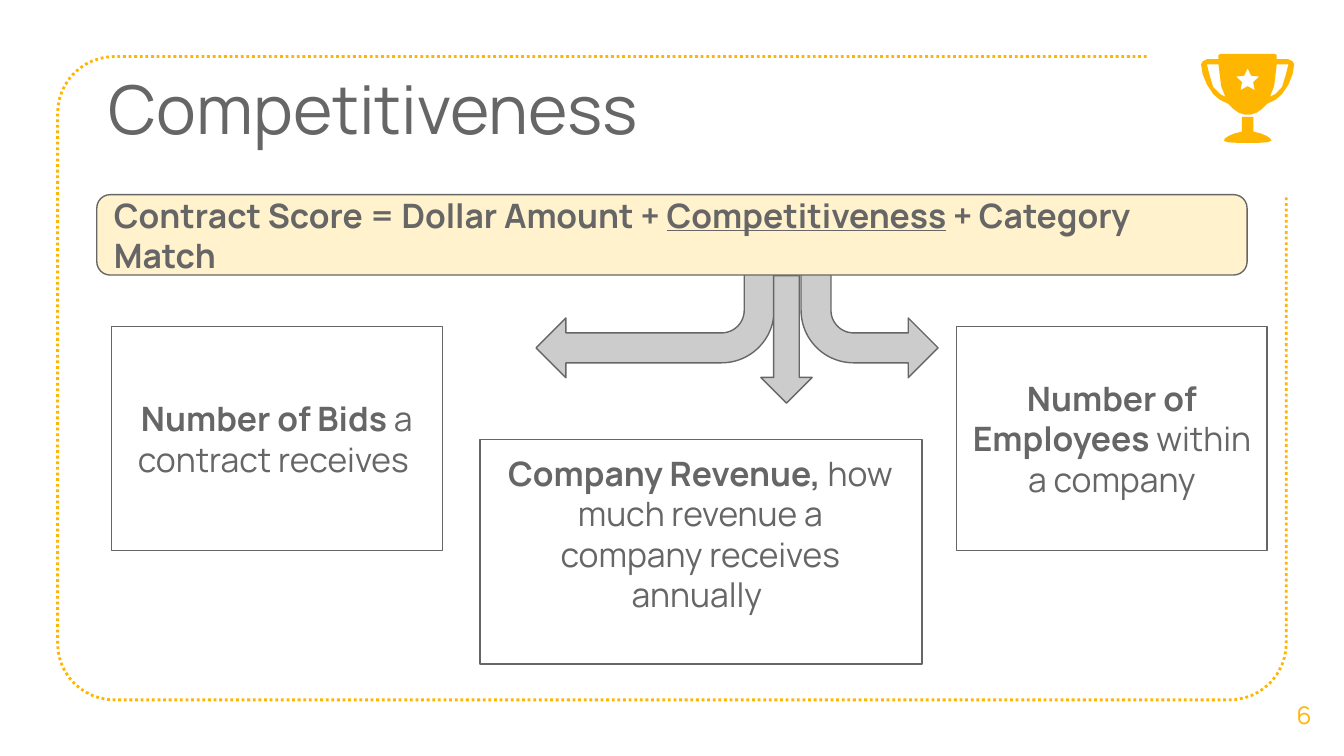
from dataclasses import dataclass
from math import cos, radians, sin

from lxml.etree import SubElement
from pptx import Presentation
from pptx.dml.color import RGBColor
from pptx.enum.dml import MSO_LINE
from pptx.enum.shapes import MSO_SHAPE as Preset
from pptx.enum.text import MSO_ANCHOR as Anchor, MSO_AUTO_SIZE as AutoSize, PP_ALIGN as Align
from pptx.oxml.ns import qn
from pptx.util import Cm, Pt

GREY = RGBColor(0x66, 0x66, 0x66)
ARROW_GREY = RGBColor(0xCC, 0xCC, 0xCC)
AMBER = RGBColor(0xFF, 0xB6, 0x00)
CREAM = RGBColor(0xFF, 0xF2, 0xCC)
FONT = "Manrope"
BEND = (0.25, 0.25, 0.25, 0.44)

Point = tuple[float, float]


@dataclass
class Box:
    """A place on the slide, in centimetres."""
    left: float
    top: float
    width: float
    height: float

    def lengths(self) -> list:
        return [Cm(v) for v in (self.left, self.top, self.width, self.height)]


@dataclass
class Run:
    text: str
    bold: bool = False
    underline: bool = False


@dataclass
class Arrow:
    preset: Preset
    box: Box
    adjustments: tuple
    rotation: int = 0
    flipped: bool = False


def write(shape, runs: list[Run], size: float = 18, color=GREY, align=Align.CENTER,
          anchor=Anchor.MIDDLE, before: float = 6) -> None:
    frame = shape.text_frame
    frame.word_wrap = True
    frame.auto_size = AutoSize.NONE
    frame.vertical_anchor = anchor
    frame.margin_left = frame.margin_right = Cm(0.25)
    frame.margin_top = frame.margin_bottom = Cm(0.25)
    paragraph = frame.paragraphs[0]
    paragraph.alignment = align
    paragraph.space_before = Pt(before)
    paragraph.line_spacing = 1.0
    for part in runs:
        run = paragraph.add_run()
        run.text = part.text
        run.font.name = FONT
        run.font.size = Pt(size)
        run.font.bold = part.bold
        run.font.underline = part.underline
        run.font.color.rgb = color


def move(placeholder, box: Box) -> None:
    placeholder.left, placeholder.top, placeholder.width, placeholder.height = box.lengths()


def add_outlined(shapes, preset: Preset, box: Box, fill=None):
    shape = shapes.add_shape(preset, *box.lengths())
    shape.shadow.inherit = False
    if fill is None:
        shape.fill.background()
    else:
        shape.fill.solid()
        shape.fill.fore_color.rgb = fill
    shape.line.color.rgb = GREY
    shape.line.width = Pt(0.75)
    return shape


def add_arrow(shapes, arrow: Arrow) -> None:
    shape = add_outlined(shapes, arrow.preset, arrow.box, ARROW_GREY)
    for index, value in enumerate(arrow.adjustments):
        shape.adjustments[index] = value
    shape.rotation = arrow.rotation
    if arrow.flipped:
        shape._element.spPr.find(qn("a:xfrm")).set("flipH", "1")


def add_outline(shapes, contours: list[list[Point]], close: bool = True):
    paths = [[(Cm(x), Cm(y)) for x, y in contour] for contour in contours]
    builder = shapes.build_freeform(*paths[0][0], scale=1.0)
    builder.add_line_segments(paths[0][1:], close=close)
    for path in paths[1:]:
        builder.move_to(*path[0])
        builder.add_line_segments(path[1:], close=close)
    shape = builder.convert_to_shape()
    shape.shadow.inherit = False
    return shape


def arc(center: Point, radius: float, start: int, stop: int, steps: int = 12) -> list[Point]:
    angles = [radians(start + (stop - start) * i / steps) for i in range(steps + 1)]
    return [(center[0] + radius * cos(a), center[1] + radius * sin(a)) for a in angles]


def add_frame(shapes) -> None:
    left, top, right, bottom, radius = 1.09, 1.07, 24.31, 13.23, 1.07
    corners = [(left + radius, top + radius), (left + radius, bottom - radius),
               (right - radius, bottom - radius)]
    points = [(21.67, top)]
    for corner, start in zip(corners, (270, 180, 90)):
        points += arc(corner, radius, start, start - 90)
    points.append((right, 3.71))
    frame = add_outline(shapes, [points], close=False)
    frame.fill.background()
    frame.line.color.rgb = AMBER
    frame.line.width = Pt(1.5)
    frame.line.dash_style = MSO_LINE.ROUND_DOT


def add_trophy(shapes) -> None:
    middle, star_y = 23.58, 1.52

    def side(profile: list[Point], sign: int) -> list[Point]:
        return [(middle + sign * x, y) for x, y in profile]

    def symmetric(profile: list[Point]) -> list[Point]:
        return side(profile, 1) + side(profile, -1)[::-1]

    foot = [(0.11, 2.21), (0.11, 2.49), (0.24, 2.52), (0.36, 2.57), (0.43, 2.62),
            (0.45, 2.66), (0.38, 2.69), (0.21, 2.7)]
    cup = [(0.51, 1.02), (0.55, 1.04), (0.55, 1.12), (0.77, 1.12), (0.85, 1.16),
           (0.88, 1.22), (0.85, 1.4), (0.77, 1.6), (0.65, 1.78), (0.52, 1.89),
           (0.37, 1.96), (0.27, 2.06), (0.17, 2.13), (0.05, 2.17)]
    handle = [(0.77, 1.22), (0.72, 1.42), (0.65, 1.65), (0.52, 1.78), (0.42, 1.83),
              (0.5, 1.63), (0.55, 1.22)]
    star = [(middle + r * sin(radians(36 * i)), star_y - r * cos(radians(36 * i)))
            for i, r in enumerate([0.23, 0.11] * 5)]
    for contours in ([symmetric(foot)],
                     [symmetric(cup), side(handle, 1), side(handle, -1), star]):
        part = add_outline(shapes, contours)
        part.fill.solid()
        part.fill.fore_color.rgb = AMBER
        part.line.fill.background()


def main() -> None:
    deck = Presentation()
    deck.slide_width, deck.slide_height = Cm(25.4), Cm(14.29)
    slide = deck.slides.add_slide(deck.slide_layouts[0])
    shapes = slide.shapes

    # Dotted frame and trophy
    add_frame(shapes)
    add_trophy(shapes)

    # Title, revenue text and page number
    title, revenue = slide.placeholders
    move(title, Box(1.8, 1.02, 21.59, 3.23))
    write(title, [Run("Competitiveness")], 36, align=Align.LEFT, anchor=Anchor.TOP, before=0)
    move(revenue, Box(9.35, 8.31, 7.77, 3.68))
    write(revenue, [Run("Company Revenue, ", bold=True),
                    Run("how much revenue a company receives annually ")], anchor=Anchor.TOP)
    page = shapes.add_textbox(*Box(23.9, 12.75, 1.5, 1.52).lengths())
    write(page, [Run("6")], 13, AMBER, before=0)

    # Factor boxes
    bids = shapes.add_textbox(*Box(2.08, 6.17, 6.3, 4.24).lengths())
    write(bids, [Run("Number of Bids ", bold=True), Run("a contract receives ")])
    factor_boxes = [Box(2.11, 6.17, 6.25, 4.24), Box(9.07, 8.31, 8.36, 4.24),
                    Box(18.08, 6.17, 5.87, 4.24)]
    *_, employees = [add_outlined(shapes, Preset.RECTANGLE, box) for box in factor_boxes]
    write(employees, [Run("Number of Employees ", bold=True), Run("within a company")])

    # Arrows from the formula to the factors
    for arrow in (
        Arrow(Preset.BENT_ARROW, Box(10.13, 4.88, 4.5, 2.26), BEND, 180),
        Arrow(Preset.DOWN_ARROW, Box(14.38, 5.21, 0.97, 2.41), (0.5, 0.5)),
        Arrow(Preset.BENT_ARROW, Box(15.14, 4.88, 2.59, 2.26), BEND, 180, flipped=True),
    ):
        add_arrow(shapes, arrow)

    # Score formula
    formula = add_outlined(shapes, Preset.ROUNDED_RECTANGLE, Box(1.83, 3.68, 21.74, 1.52), CREAM)
    write(formula, [Run("Contract Score = Dollar Amount + ", bold=True),
                    Run("Competitiveness", bold=True, underline=True),
                    Run(" + Category Match", bold=True)], align=Align.LEFT)

    deck.save("out.pptx")


if __name__ == "__main__":
    main()
